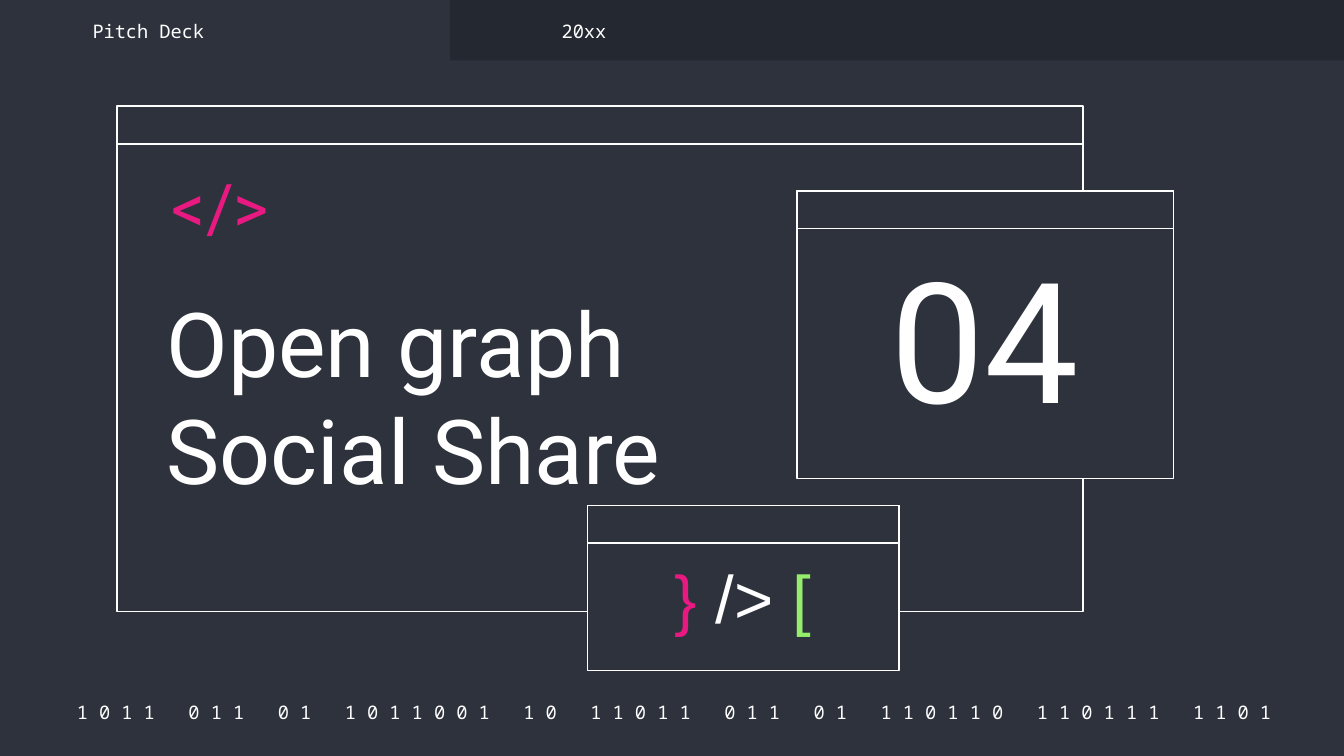
from typing import NamedTuple

from pptx import Presentation
from pptx.dml.color import RGBColor
from pptx.enum import shapes, text
from pptx.util import Pt

BACKGROUND = RGBColor(0x2D, 0x32, 0x3C)
TAB_DARK = RGBColor(0x24, 0x28, 0x30)
WHITE = RGBColor(0xFF, 0xFF, 0xFF)
PINK = RGBColor(0xE8, 0x19, 0x81)
GREEN = RGBColor(0x94, 0xEE, 0x6B)

SANS, MONO, SYMBOL = "Roboto", "Noto Sans Mono", "Arial"
BAR_HEIGHT = 20.2
INSET = 7.2
LEFT, CENTER, RIGHT = text.PP_ALIGN.LEFT, text.PP_ALIGN.CENTER, text.PP_ALIGN.RIGHT
TOP, MIDDLE, BOTTOM = text.MSO_ANCHOR.TOP, text.MSO_ANCHOR.MIDDLE, text.MSO_ANCHOR.BOTTOM
BINARY_GROUPS = "1011 011 01 1011001 10 11011 011 01 110110 110111 1101".split()


class Box(NamedTuple):
    left: float
    top: float
    width: float
    height: float


class Run(NamedTuple):
    words: str
    color: RGBColor = WHITE
    tracking: int = 0  # hundredths of a point


class Label(NamedTuple):
    box: Box
    runs: list[Run]
    font: str
    size: float
    align: text.PP_ALIGN = LEFT
    anchor: text.MSO_ANCHOR = TOP
    line_spacing: float = 1.0


def binary_runs() -> list[Run]:
    """Spaced digits, with one widened space between groups."""
    runs = []
    for group in BINARY_GROUPS:
        if runs:
            runs.append(Run(" ", tracking=1200))
        runs.append(Run(" ".join(group)))
    return runs


WINDOWS = [
    Box(62.6, 56.9, 517.7, 270.7),
    Box(314.6, 270.8, 167, 88.6),
    Box(427, 102.3, 201.6, 154),
]
TITLE = Label(Box(82.1, 146.9, 313.9, 64.8), [Run("Open graph Social Share")], SANS, 48)
NUMBER = Label(Box(439.9, 122.4, 175, 118.8), [Run("04")], SANS, 90, CENTER, BOTTOM)
LABELS = [
    Label(Box(27.4, 374.4, 667.4, 14.4), binary_runs(), MONO, 10, CENTER, MIDDLE),
    Label(Box(66.2, 86.4, 85, 44.6), [Run("</>", PINK)], SANS, 36, RIGHT, TOP, 0.9),
    Label(Box(42.5, 9.4, 157.7, 14.4), [Run("Pitch Deck")], MONO, 10, LEFT, MIDDLE),
    Label(Box(293.8, 9.4, 157.7, 14.4), [Run("20xx")], MONO, 10, LEFT, MIDDLE),
    Label(Box(349.9, 295.9, 95.8, 59), [Run("}", PINK), Run(" /> "), Run("[", GREEN)],
          SYMBOL, 36, CENTER, TOP, 0.9),
]


def add_rectangle(slide, box: Box, fill: RGBColor, outlined: bool) -> None:
    shape = slide.shapes.add_shape(shapes.MSO_SHAPE.RECTANGLE, *map(Pt, box))
    shape.shadow.inherit = False
    shape.fill.solid()
    shape.fill.fore_color.rgb = fill
    if outlined:
        shape.line.color.rgb = WHITE
        shape.line.width = Pt(0.75)
    else:
        shape.line.fill.background()


def add_window(slide, box: Box) -> None:
    add_rectangle(slide, box, BACKGROUND, True)
    add_rectangle(slide, box._replace(height=BAR_HEIGHT), BACKGROUND, True)


def write_label(shape, label: Label) -> None:
    """Place a text box or placeholder and fill it run by run."""
    shape.left, shape.top, shape.width, shape.height = map(Pt, label.box)
    frame = shape.text_frame
    frame.word_wrap = True
    frame.auto_size = text.MSO_AUTO_SIZE.NONE
    frame.vertical_anchor = label.anchor
    frame.margin_left = frame.margin_right = Pt(INSET)
    frame.margin_top = frame.margin_bottom = Pt(INSET)
    paragraph = frame.paragraphs[0]
    paragraph.alignment = label.align
    paragraph.line_spacing = label.line_spacing
    paragraph.space_before = Pt(0)
    for item in label.runs:
        run = paragraph.add_run()
        run.text = item.words
        run.font.name = label.font
        run.font.size = Pt(label.size)
        run.font.color.rgb = item.color
        if item.tracking:
            run.font._element.set("spc", str(item.tracking))


def main() -> None:
    presentation = Presentation()
    presentation.slide_width, presentation.slide_height = Pt(720), Pt(405)
    slide = presentation.slides.add_slide(presentation.slide_layouts[0])
    slide.background.fill.solid()
    slide.background.fill.fore_color.rgb = BACKGROUND

    title, number = slide.placeholders
    add_rectangle(slide, Box(241.2, 0, 478.8, 32.4), TAB_DARK, False)
    for window in WINDOWS:
        add_window(slide, window)
    for placeholder, label in ((title, TITLE), (number, NUMBER)):
        slide.shapes._spTree.append(placeholder._element)  # bring above the windows
        write_label(placeholder, label)
    for label in LABELS:
        write_label(slide.shapes.add_textbox(*map(Pt, label.box)), label)

    presentation.save("out.pptx")


if __name__ == "__main__":
    main()
